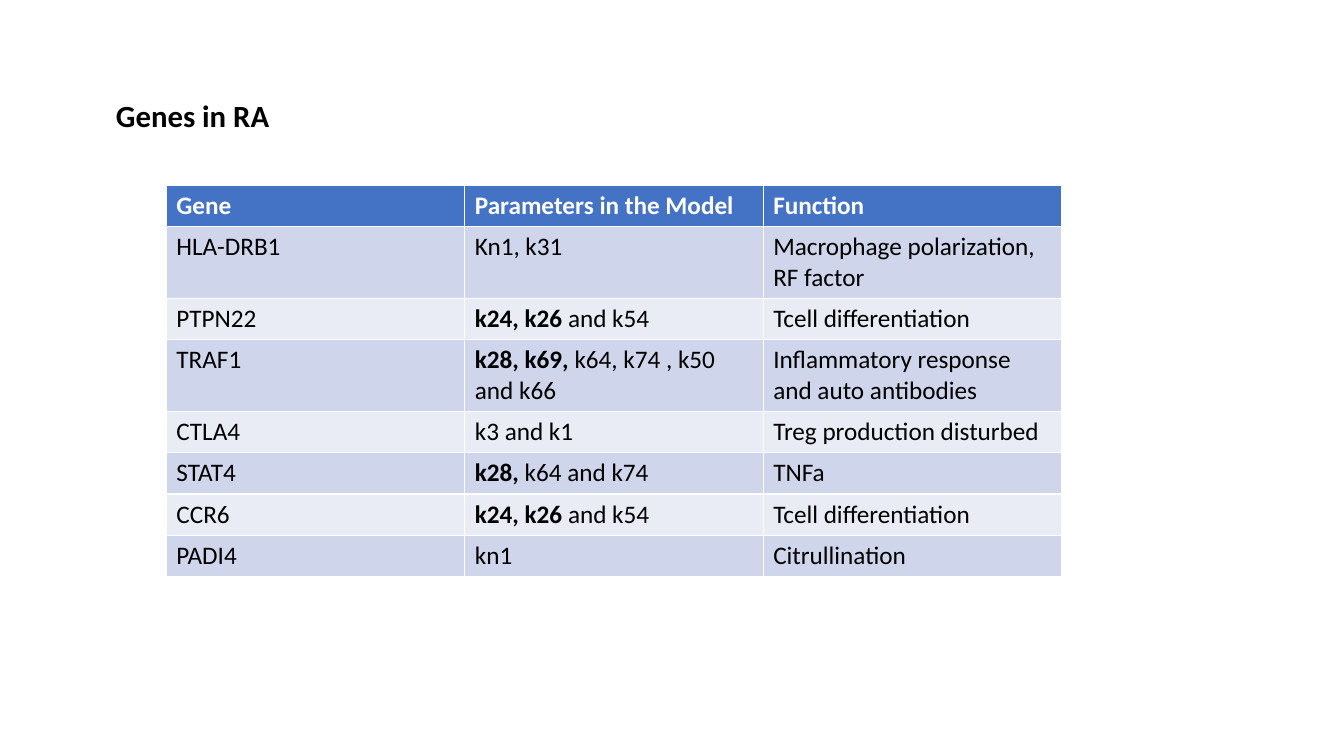
from dataclasses import dataclass

from pptx import Presentation
from pptx.dml.color import RGBColor
from pptx.enum.text import MSO_ANCHOR, MSO_AUTO_SIZE, PP_ALIGN
from pptx.util import Inches, Pt


@dataclass(frozen=True)
class Theme:
    font: str = "Calibri"
    title_size: int = 22
    table_size: int = 18
    text: str = "000000"
    header_text: str = "FFFFFF"
    header_fill: str = "4472C4"
    bands: tuple[str, str] = ("CFD5EA", "E9EBF5")


@dataclass(frozen=True)
class GeneRow:
    gene: str
    parameters: str
    function: str
    key_parameters: str = ""  # bold, before the other parameters


THEME = Theme()
HEADER = ("Gene", "Parameters in the Model", "Function")
GENES = [
    GeneRow("HLA-DRB1", "Kn1, k31", "Macrophage polarization, RF factor"),
    GeneRow("PTPN22", " and k54", "Tcell differentiation", "k24, k26"),
    GeneRow("TRAF1", " k64, k74 , k50 and k66",
            "Inflammatory response and auto antibodies", "k28, k69,"),
    GeneRow("CTLA4", "k3 and k1", "Treg production disturbed"),
    GeneRow("STAT4", " k64 and k74", "TNFa", "k28,"),
    GeneRow("CCR6", " and k54", "Tcell differentiation", "k24, k26"),
    GeneRow("PADI4", "kn1", "Citrullination"),
]
COL_WIDTH, ROW_HEIGHT = 2.96, 0.41


def add_run(p, text: str, *, size: int = THEME.table_size,
            color: str = THEME.text, bold: bool = False) -> None:
    r = p.add_run()
    r.text = text
    r.font.name = THEME.font
    r.font.size = Pt(size)
    r.font.bold = bold
    r.font.color.rgb = RGBColor.from_string(color)


def fill_cell(cell, color: str) -> None:
    cell.fill.solid()
    cell.fill.fore_color.rgb = RGBColor.from_string(color)


def add_title(s, text: str) -> None:
    sp = s.shapes.title
    sp.left, sp.top = Inches(1.05), Inches(0.91)
    sp.width, sp.height = Inches(3.17), Inches(0.47)
    tf = sp.text_frame
    tf.word_wrap = True
    tf.auto_size = MSO_AUTO_SIZE.NONE
    tf.vertical_anchor = MSO_ANCHOR.TOP
    p = tf.paragraphs[0]
    p.alignment = PP_ALIGN.LEFT
    add_run(p, text, size=THEME.title_size, bold=True)


def add_gene_table(s, genes: list[GeneRow]) -> None:
    """The default table style supplies the white borders."""
    n_rows, n_cols = len(genes) + 1, len(HEADER)
    table = s.shapes.add_table(
        n_rows, n_cols, Inches(1.65), Inches(1.84),
        Inches(COL_WIDTH * n_cols), Inches(ROW_HEIGHT * n_rows)).table
    for cell, text in zip(table.rows[0].cells, HEADER):
        fill_cell(cell, THEME.header_fill)
        add_run(cell.text_frame.paragraphs[0], text,
                color=THEME.header_text, bold=True)
    for i, gene in enumerate(genes):
        cells = list(table.rows[i + 1].cells)
        if gene.key_parameters:
            add_run(cells[1].text_frame.paragraphs[0], gene.key_parameters, bold=True)
        for cell, text in zip(cells, (gene.gene, gene.parameters, gene.function)):
            fill_cell(cell, THEME.bands[i % 2])
            add_run(cell.text_frame.paragraphs[0], text)


def main() -> None:
    prs = Presentation()
    prs.slide_width, prs.slide_height = Inches(13.33), Inches(7.5)
    s = prs.slides.add_slide(prs.slide_layouts.get_by_name("Title Only"))
    add_title(s, "Genes in RA")
    add_gene_table(s, GENES)
    prs.save("out.pptx")


if __name__ == "__main__":
    main()
